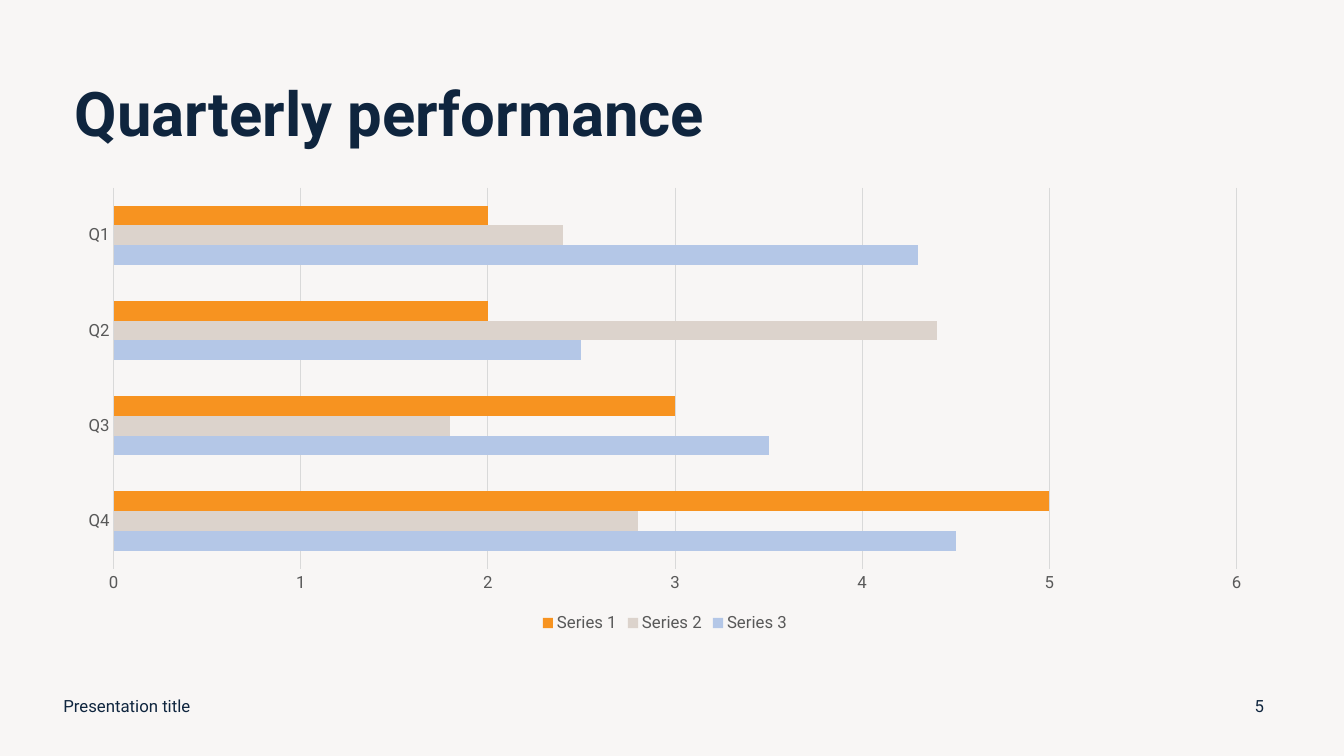
"""Build the quarterly performance slide with its bar chart."""
from pptx import Presentation
from pptx import util as u
from pptx.chart import data
from pptx.dml import color
from pptx.enum import chart as ch, text

INK = {
    "back": "F8F6F5", "navy": "0F253E", "gray": "595959", "grid": "D9D9D9",
    "Series 1": "F79320", "Series 2": "DCD3CC", "Series 3": "B4C7E7",
}
QUARTERS = ["Q4", "Q3", "Q2", "Q1"]
SERIES = {
    "Series 3": [4.5, 3.5, 2.5, 4.3],
    "Series 2": [2.8, 1.8, 4.4, 2.4],
    "Series 1": [5, 3, 2, 2],
}


def rgb(name):
    return color.RGBColor.from_string(INK[name])


def box(*sides):
    return [u.Inches(side) for side in sides]


def style(font, size, name, bold=False):
    font.name, font.size, font.bold = "Roboto", u.Pt(size), bold
    font.color.rgb = rgb(name)


def rule(line):
    line.color.rgb = rgb("grid")
    line.width = u.Pt(0.75)


def add_title(slide, words):
    title = slide.shapes.title
    title.left, title.top, title.width, title.height = box(0.64, 0.55, 11.5, 1.22)
    title.text = words
    title.text_frame.vertical_anchor = text.MSO_ANCHOR.MIDDLE
    para = title.text_frame.paragraphs[0]
    para.alignment = text.PP_ALIGN.LEFT
    para.line_spacing = 0.9
    style(para.font, 44, "navy", True)


def add_label(slide, words, left, width, align):
    frame = slide.shapes.add_textbox(*box(left, 6.8, width, 0.4)).text_frame
    frame.word_wrap = True
    frame.vertical_anchor = text.MSO_ANCHOR.MIDDLE
    para = frame.paragraphs[0]
    para.text = words
    para.alignment = align
    style(para.font, 12, "navy")


def add_bars(slide):
    table = data.CategoryChartData()
    table.categories = QUARTERS
    for name, values in SERIES.items():
        table.add_series(name, values)
    chart = slide.shapes.add_chart(
        ch.XL_CHART_TYPE.BAR_CLUSTERED, *box(0.64, 1.77, 11.91, 4.55), table
    ).chart
    chart.has_title = False
    style(chart.font, 12, "gray")
    plot = chart.plots[0]
    plot.gap_width = 182
    plot.vary_by_categories = False
    for series in plot.series:
        series.format.fill.solid()
        series.format.fill.fore_color.rgb = rgb(series.name)
    for axis in (chart.category_axis, chart.value_axis):
        axis.major_tick_mark = axis.minor_tick_mark = ch.XL_TICK_MARK.NONE
        style(axis.tick_labels.font, 12, "gray")
    rule(chart.category_axis.format.line)
    scale = chart.value_axis
    scale.minimum_scale, scale.maximum_scale, scale.major_unit = 0, 6, 1
    scale.format.line.fill.background()
    rule(scale.major_gridlines.format.line)
    chart.has_legend = True
    chart.legend.position = ch.XL_LEGEND_POSITION.BOTTOM
    chart.legend.include_in_layout = False
    style(chart.legend.font, 12, "gray")


def main():
    deck = Presentation()
    deck.slide_width, deck.slide_height = box(13.33, 7.5)
    slide = deck.slides.add_slide(deck.slide_layouts[5])
    slide.background.fill.solid()
    slide.background.fill.fore_color.rgb = rgb("back")
    add_title(slide, "Quarterly performance")
    add_bars(slide)
    add_label(slide, "Presentation title", 0.53, 4.5, text.PP_ALIGN.LEFT)
    add_label(slide, "5", 12.24, 0.5, text.PP_ALIGN.CENTER)
    deck.save("out.pptx")


if __name__ == "__main__":
    main()
